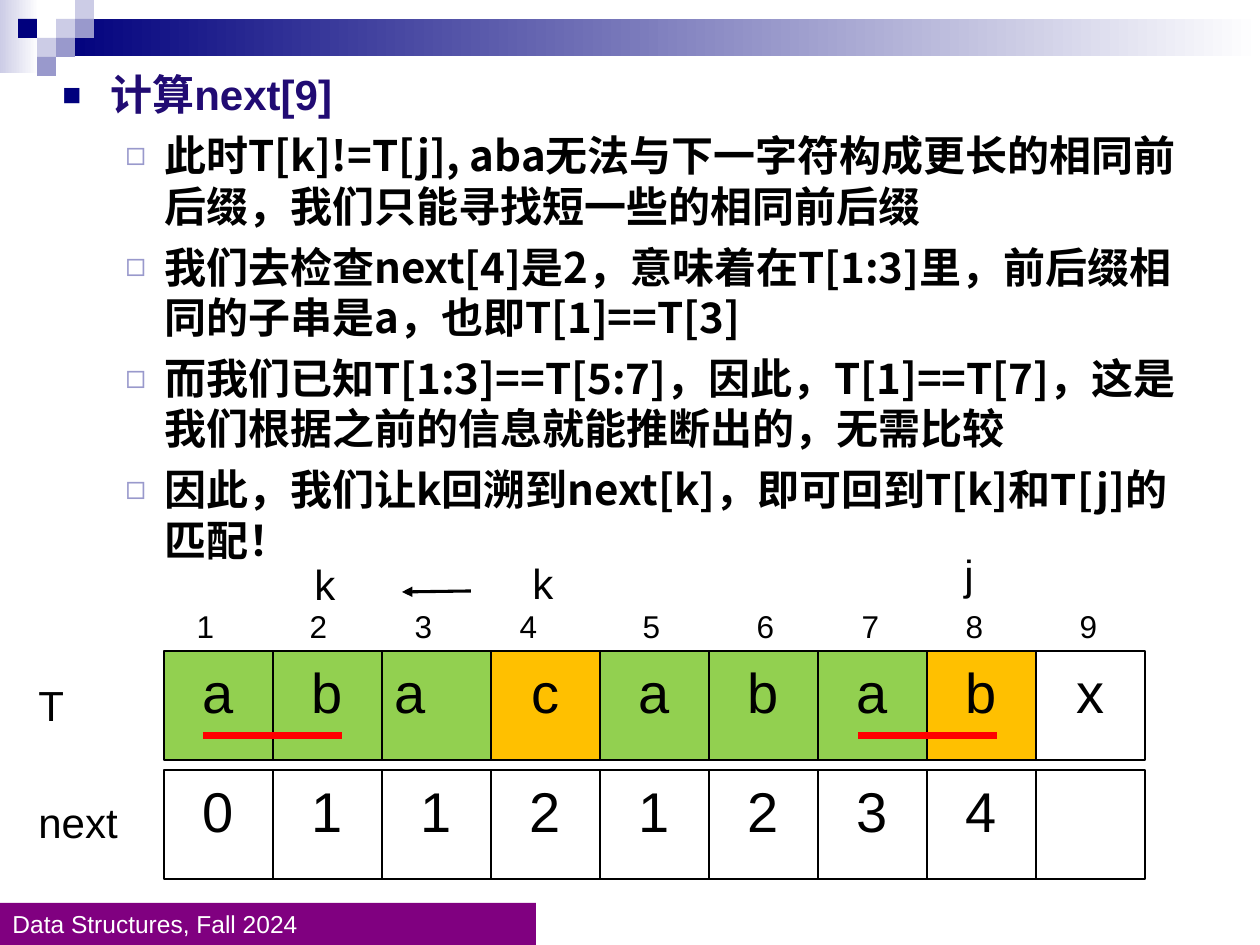
from dataclasses import dataclass

from lxml.etree import SubElement
from pptx import Presentation
from pptx.dml.color import RGBColor
from pptx.enum.shapes import MSO_CONNECTOR, MSO_SHAPE
from pptx.enum.text import MSO_ANCHOR, PP_ALIGN
from pptx.oxml.ns import qn
from pptx.util import Pt


@dataclass(frozen=True)
class Theme:
    latin: str = "Arial"
    chinese: str = "Noto Sans CJK SC"
    navy: str = "00007D"
    lavender: str = "CCCCE6"
    periwinkle: str = "9999CC"
    purple: str = "800080"
    heading: str = "210B73"
    green: str = "92D050"
    amber: str = "FFC000"
    red: str = "FF0000"
    black: str = "000000"
    white: str = "FFFFFF"
    cell_size: int = 32
    body_size: int = 24
    index_size: int = 18
    footer_size: int = 14
    body_leading: float = 28.8


THEME = Theme()
CELL = 109


def px(length):
    return round(length * 914400 / 126)


def color(value):
    return RGBColor.from_string(value)


def style(paragraph, size, value, name=THEME.latin, bold=False):
    font = paragraph.font
    font.size, font.bold, font.name = Pt(size), bold, name
    font.color.rgb = color(value)


def add_box(slide, left, top, width, height, fill, fade_to=None, line_width=None):
    shape = slide.shapes.add_shape(
        MSO_SHAPE.RECTANGLE, px(left), px(top), px(width), px(height))
    shape.shadow.inherit = False
    if fade_to:
        shape.fill.gradient()
        shape.fill.gradient_angle = 0
        for stop, value in zip(shape.fill.gradient_stops, (fill, fade_to)):
            stop.color.rgb = color(value)
    else:
        shape.fill.solid()
        shape.fill.fore_color.rgb = color(fill)
    if line_width:
        shape.line.color.rgb = color(THEME.black)
        shape.line.width = Pt(line_width)
    else:
        shape.line.fill.background()
    return shape


def add_text(slide, left, top, width, height):
    frame = slide.shapes.add_textbox(px(left), px(top), px(width), px(height)).text_frame
    frame.word_wrap = True
    return frame


def add_label(slide, left, top, text):
    paragraph = add_text(slide, left, top, 110, 63).paragraphs[0]
    paragraph.text = text
    style(paragraph, THEME.body_size, THEME.black)


def add_line(slide, start, end, value, width, arrow=False):
    line = slide.shapes.add_connector(
        MSO_CONNECTOR.STRAIGHT, *(px(length) for length in (*start, *end)))
    line.line.color.rgb = color(value)
    line.line.width = Pt(width)
    if arrow:
        SubElement(line.line._get_or_add_ln(), qn("a:tailEnd"), type="triangle")
    SubElement(line._element.spPr, qn("a:effectLst"))


def add_header(slide, left, top):
    # Fading bands
    add_box(slide, left, top, 39, 73, THEME.lavender, THEME.white)
    add_box(slide, left + 57, top + 19, 1203, 37, THEME.navy, THEME.white)
    # Mosaic of small squares, by column and row
    squares = [
        (3, 1, THEME.lavender), (4, 0, THEME.lavender), (4, 1, THEME.periwinkle),
        (2, 2, THEME.lavender), (1, 1, THEME.navy), (3, 2, THEME.periwinkle),
        (2, 3, THEME.periwinkle),
    ]
    for column, row, fill in squares:
        add_box(slide, left + 19 * column - 1, top + 19 * row, 19, 19, fill)


def add_footer(slide, left, top):
    frame = add_box(slide, left, top, 536, 42, THEME.purple).text_frame
    frame.vertical_anchor = MSO_ANCHOR.MIDDLE
    paragraph = frame.paragraphs[0]
    paragraph.text = "Data Structures, Fall 2024"
    paragraph.alignment = PP_ALIGN.LEFT
    style(paragraph, THEME.footer_size, THEME.white)


def add_bullet(paragraph, character, value, percent, margin, hanging):
    properties = paragraph._p.get_or_add_pPr()
    properties.set("marL", str(px(margin)))
    properties.set("indent", str(-px(hanging)))
    bullet_color = SubElement(properties, qn("a:buClr"))
    SubElement(bullet_color, qn("a:srgbClr"), val=value)
    SubElement(properties, qn("a:buSzPct"), val=str(percent * 1000))
    SubElement(properties, qn("a:buFont"), typeface=THEME.latin)
    SubElement(properties, qn("a:buChar"), char=character)


def add_explanation(slide, left, top):
    lines = [
        "计算next[9]",
        "此时T[k]!=T[j], aba无法与下一字符构成更长的相同前后缀，我们只能寻找短一些的相同前后缀",
        "我们去检查next[4]是2，意味着在T[1:3]里，前后缀相同的子串是a，也即T[1]==T[3]",
        "而我们已知T[1:3]==T[5:7]，因此，T[1]==T[7]，这是我们根据之前的信息就能推断出的，无需比较",
        "因此，我们让k回溯到next[k]，即可回到T[k]和T[j]的匹配！",
    ]
    frame = add_text(slide, left, top, 1159, 515)
    frame.margin_top = px(11)
    for number, text in enumerate(lines):
        paragraph = frame.add_paragraph() if number else frame.paragraphs[0]
        paragraph.text = text
        paragraph.line_spacing = Pt(THEME.body_leading)
        if number:
            paragraph.level = 1
            paragraph.space_before = Pt(6)
            add_bullet(paragraph, "◻", THEME.periwinkle, 80, 102, 39)
            style(paragraph, THEME.body_size, THEME.black, THEME.chinese, bold=True)
        else:
            add_bullet(paragraph, "■", THEME.navy, 75, 48, 48)
            style(paragraph, THEME.body_size, THEME.heading, bold=True)
        defaults = paragraph._p.pPr.find(qn("a:defRPr"))
        SubElement(defaults, qn("a:ea"), typeface=THEME.chinese)


def add_cells(slide, left, top, values, fills, left_aligned=()):
    for column, (value, fill) in enumerate(zip(values, fills)):
        line_width = 1.25 if column < 6 else 0.75
        shape = add_box(slide, left + CELL * column, top, CELL, CELL, fill,
                        line_width=line_width)
        frame = shape.text_frame
        frame.vertical_anchor = MSO_ANCHOR.TOP
        if value.strip():
            paragraph = frame.paragraphs[0]
            paragraph.text = value
            paragraph.alignment = (
                PP_ALIGN.LEFT if column in left_aligned else PP_ALIGN.CENTER)
            style(paragraph, THEME.cell_size, THEME.black)


def add_indexes(slide, left, top):
    paragraph = add_text(slide, left, top, 1062, 50).paragraphs[0]
    paragraph.text = "".join(f"\t{number}" for number in range(1, 10))
    tabs = SubElement(paragraph._p.get_or_add_pPr(), qn("a:tabLst"))
    for center in (70, 183, 288, 393, 516, 630, 735, 839, 953):
        SubElement(tabs, qn("a:tab"), pos=str(px(center)), algn="ctr")
    style(paragraph, THEME.index_size, THEME.black)


def add_matching(slide, left, top):
    # Pattern and next rows
    green, amber, white = THEME.green, THEME.amber, THEME.white
    fills = [green] * 3 + [amber] + [green] * 3 + [amber, white]
    add_cells(slide, left + 138, top + 109, "abacababx", fills, left_aligned=(2,))
    add_cells(slide, left + 138, top + 228, "01121234 ", [white] * 9)
    add_label(slide, left, top + 131, "T")
    add_label(slide, left, top + 248, "next")
    # Matching pairs
    for start in (177, 832):
        add_line(slide, (left + start, top + 194), (left + start + 139, top + 194),
                 THEME.red, 4)
    # Positions and pointers
    add_indexes(slide, left + 97, top + 59)
    add_label(slide, left + 276, top + 10, "k")
    add_label(slide, left + 494, top + 9, "k")
    add_label(slide, left + 926, top, "j")
    add_line(slide, (left + 445, top + 49), (left + 376, top + 50),
             THEME.black, 1.75, arrow=True)


def main():
    presentation = Presentation()
    presentation.slide_width, presentation.slide_height = px(1260), px(945)
    slide = presentation.slides.add_slide(presentation.slide_layouts[6])
    add_header(slide, 0, 0)
    add_footer(slide, 0, 903)
    add_explanation(slide, 50, 58)
    add_matching(slide, 26, 542)
    presentation.save("out.pptx")


if __name__ == "__main__":
    main()
